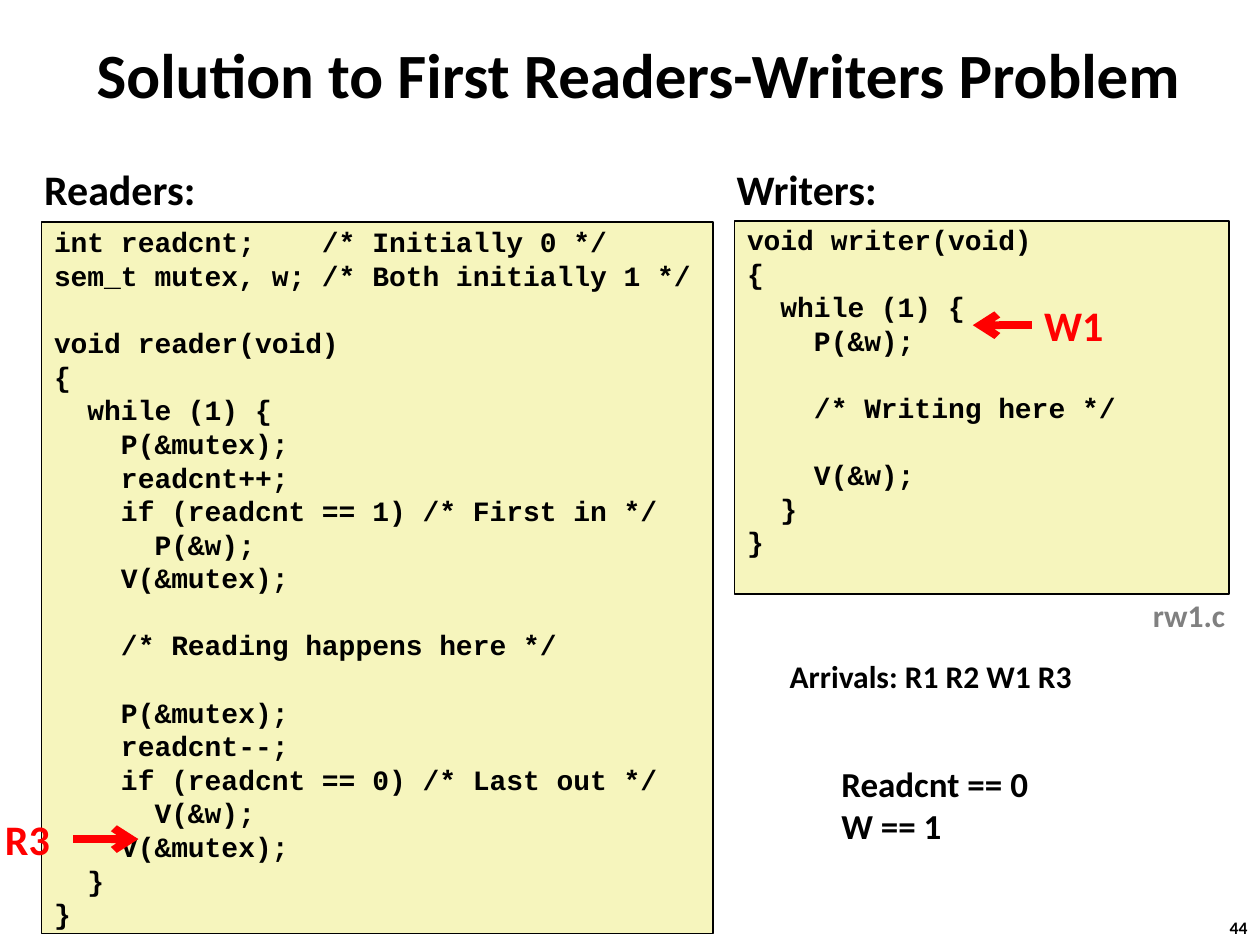
"""Builds the slide on the first readers-writers solution."""
from dataclasses import dataclass

from lxml.etree import SubElement
from pptx import Presentation
from pptx.dml.color import RGBColor
from pptx.enum.shapes import MSO_CONNECTOR, MSO_SHAPE
from pptx.enum.text import MSO_ANCHOR, MSO_AUTO_SIZE, PP_ALIGN
from pptx.oxml.ns import qn
from pptx.util import Cm, Pt

BLACK, RED, GREY, CREAM = "000000", "FF0000", "808080", "F6F5BD"
CODE_PITCH = Pt(19.2)
LEFT_SIDE, RIGHT_SIDE = 1, 3

READER_CODE = """int readcnt;    /* Initially 0 */
sem_t mutex, w; /* Both initially 1 */

void reader(void)
{
  while (1) {
    P(&mutex);
    readcnt++;
    if (readcnt == 1) /* First in */
      P(&w);
    V(&mutex);

    /* Reading happens here */

    P(&mutex);
    readcnt--;
    if (readcnt == 0) /* Last out */
      V(&w);
    V(&mutex);
  }
}"""

WRITER_CODE = """void writer(void)
{
  while (1) {
    P(&w);

    /* Writing here */

    V(&w);
  }
}"""


@dataclass
class Box:
    """Position and size in centimetres."""
    left: float
    top: float
    width: float
    height: float

    def lengths(self) -> tuple:
        """Gives the four values as lengths."""
        return Cm(self.left), Cm(self.top), Cm(self.width), Cm(self.height)


@dataclass
class Label:
    """A short bold text."""
    text: str
    box: Box
    size: float
    color: str = BLACK


@dataclass
class Listing:
    """A framed block of code with free lines at its end."""
    code: str
    box: Box
    free_lines: int = 0


@dataclass
class Marker:
    """A label with an arrow from one of its sides to a line of code."""
    label: Label
    side: int
    tip: float


LABELS = [
    Label("Readers:", Box(0.64, 3.18, 3.58, 1.27), 24),
    Label("Writers:", Box(14.6, 3.18, 3.35, 1.27), 24),
    Label("rw1.c", Box(22.99, 11.89, 1.98, 1.02), 18, GREY),
    Label("Arrivals: R1 R2 W1 R3", Box(15.67, 13.13, 6.25, 1.02), 18),
    Label("Readcnt == 0\nW == 1", Box(16.71, 15.24, 4.32, 1.96), 20),
    Label("44", Box(24.54, 18.36, 0.94, 0.69), 10),
]
LISTINGS = [
    Listing(READER_CODE, Box(0.84, 4.47, 13.54, 14.35)),
    Listing(WRITER_CODE, Box(14.81, 4.45, 9.96, 7.52), free_lines=1),
]
MARKERS = [
    Marker(Label("W1", Box(20.8, 5.92, 1.9, 1.27), 24, RED), LEFT_SIDE, 19.61),
    Marker(Label("R3", Box(-0.15, 16.28, 1.63, 1.27), 24, RED), RIGHT_SIDE, 2.79),
]


def rgb(value: str) -> RGBColor:
    """Turns a hex string into a colour."""
    return RGBColor.from_string(value)


def format_runs(frame, size: float, color: str = BLACK, face: str = "Calibri") -> None:
    """Sets the font of every run in a text frame."""
    for paragraph in frame.paragraphs:
        for run in paragraph.runs:
            run.font.name = face
            run.font.size = Pt(size)
            run.font.bold = True
            run.font.color.rgb = rgb(color)


def add_label(shapes, label: Label):
    """Draws a label and returns its text box."""
    textbox = shapes.add_textbox(*label.box.lengths())
    frame = textbox.text_frame
    frame.text = label.text
    frame.word_wrap = False
    format_runs(frame, label.size, label.color)
    return textbox


def add_listing(shapes, listing: Listing) -> None:
    """Draws a code block, with empty code lines as paragraph spacing."""
    panel = shapes.add_shape(MSO_SHAPE.RECTANGLE, *listing.box.lengths())
    panel.shadow.inherit = False
    panel.fill.solid()
    panel.fill.fore_color.rgb = rgb(CREAM)
    panel.line.color.rgb = rgb(BLACK)
    panel.line.width = Pt(1)
    frame = panel.text_frame
    frame.word_wrap = True
    frame.vertical_anchor = MSO_ANCHOR.MIDDLE
    frame.margin_top = 0
    frame.margin_bottom = listing.free_lines * CODE_PITCH
    frame.text = listing.code.replace("\n\n", "\n")
    spaced = [part.split("\n")[0] for part in listing.code.split("\n\n")[1:]]
    for paragraph in frame.paragraphs:
        paragraph.alignment = PP_ALIGN.LEFT
        paragraph.line_spacing = CODE_PITCH
        if spaced and paragraph.text == spaced[0] and paragraph.text not in listing.code.split("\n\n")[0].split("\n"):
            paragraph.space_before = CODE_PITCH
            spaced.pop(0)
        elif spaced and paragraph.text == spaced[0] and follows_gap(frame, paragraph, listing.code):
            paragraph.space_before = CODE_PITCH
            spaced.pop(0)
    format_runs(frame, 16, face="Courier New")


def follows_gap(frame, paragraph, code: str) -> bool:
    """Tells whether an empty code line stands before a paragraph."""
    texts = [item.text for item in frame.paragraphs]
    position = [item._p for item in frame.paragraphs].index(paragraph._p)
    return position > 0 and f"{texts[position - 1]}\n\n{paragraph.text}" in code


def add_marker(shapes, marker: Marker) -> None:
    """Draws a label grouped with its arrow."""
    group = shapes.add_group_shape()
    textbox = add_label(group.shapes, marker.label)
    middle = Cm(marker.label.box.top + marker.label.box.height / 2)
    start = textbox.left + (textbox.width if marker.side == RIGHT_SIDE else 0)
    arrow = group.shapes.add_connector(
        MSO_CONNECTOR.STRAIGHT, start, middle, Cm(marker.tip), middle)
    arrow.begin_connect(textbox, marker.side)
    arrow.line.color.rgb = rgb(RED)
    arrow.line.width = Pt(4.5)
    SubElement(arrow.line._get_or_add_ln(), qn("a:tailEnd"), type="arrow")
    SubElement(arrow._element.spPr, qn("a:effectLst"))


def add_title(slide, text: str) -> None:
    """Fills and places the title placeholder."""
    title = slide.shapes.title
    title.left, title.top, title.width, title.height = Box(0.99, 0.43, 23.77, 2.11).lengths()
    frame = title.text_frame
    frame.text = text
    frame.auto_size = MSO_AUTO_SIZE.NONE
    frame.vertical_anchor = MSO_ANCHOR.MIDDLE
    frame.paragraphs[0].alignment = PP_ALIGN.CENTER
    format_runs(frame, 36)


def main() -> None:
    """Builds and saves the presentation."""
    deck = Presentation()
    deck.slide_width, deck.slide_height = Cm(25.4), Cm(19.05)
    slide = deck.slides.add_slide(deck.slide_layouts[5])
    add_title(slide, "Solution to First Readers-Writers Problem")
    for listing in LISTINGS:
        add_listing(slide.shapes, listing)
    for label in LABELS:
        add_label(slide.shapes, label)
    for marker in MARKERS:
        add_marker(slide.shapes, marker)
    deck.save("out.pptx")


if __name__ == "__main__":
    main()
